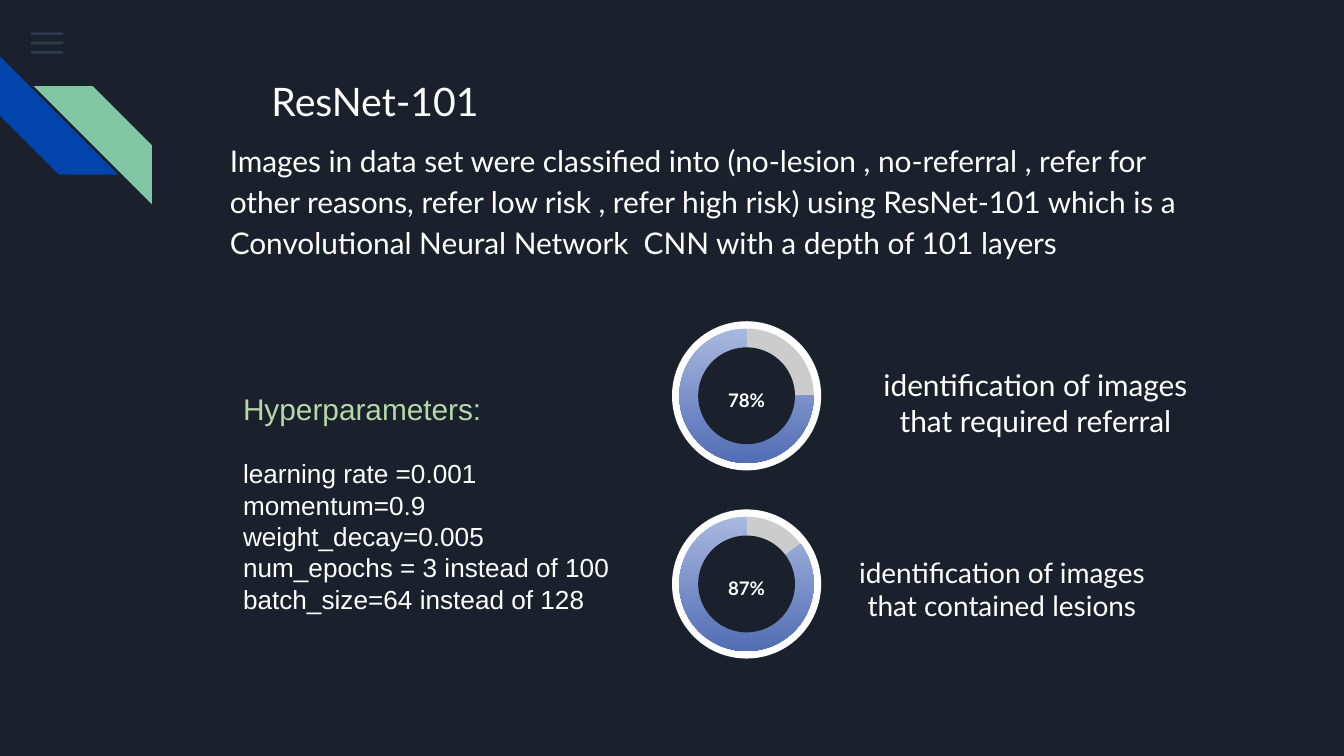
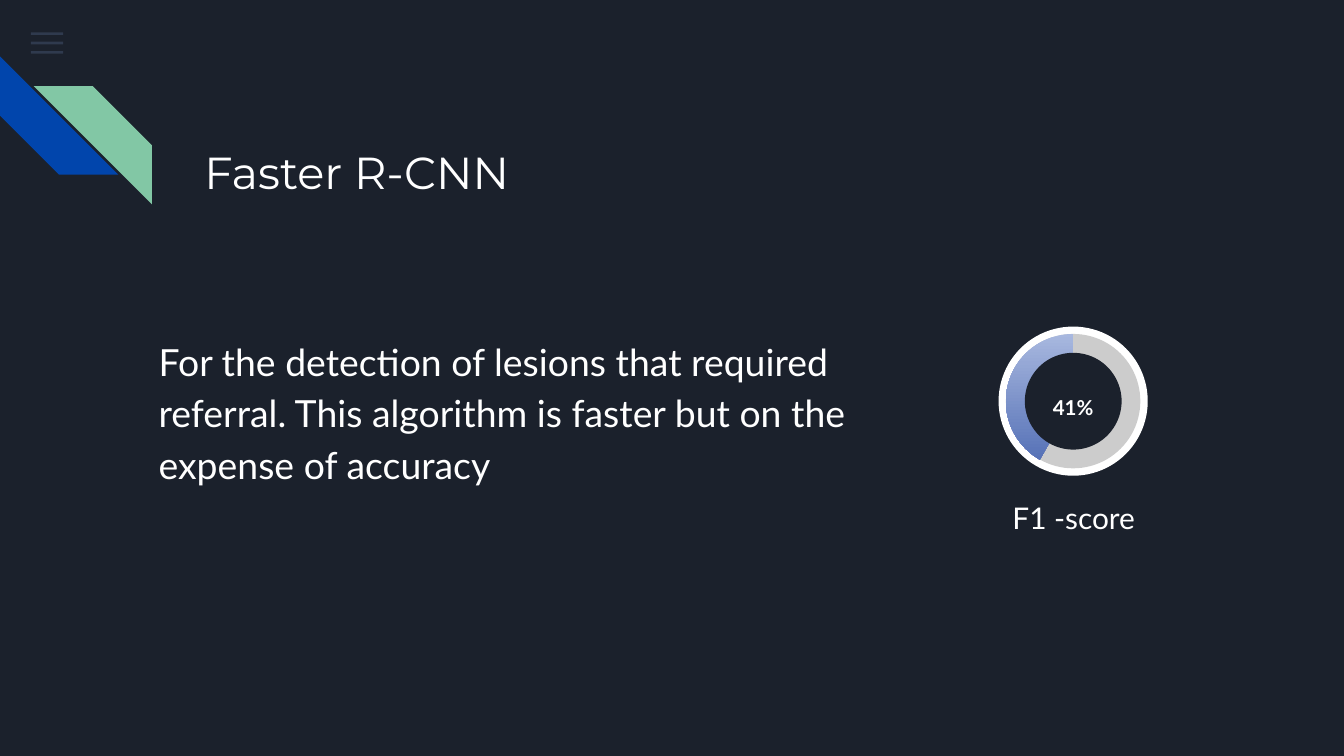
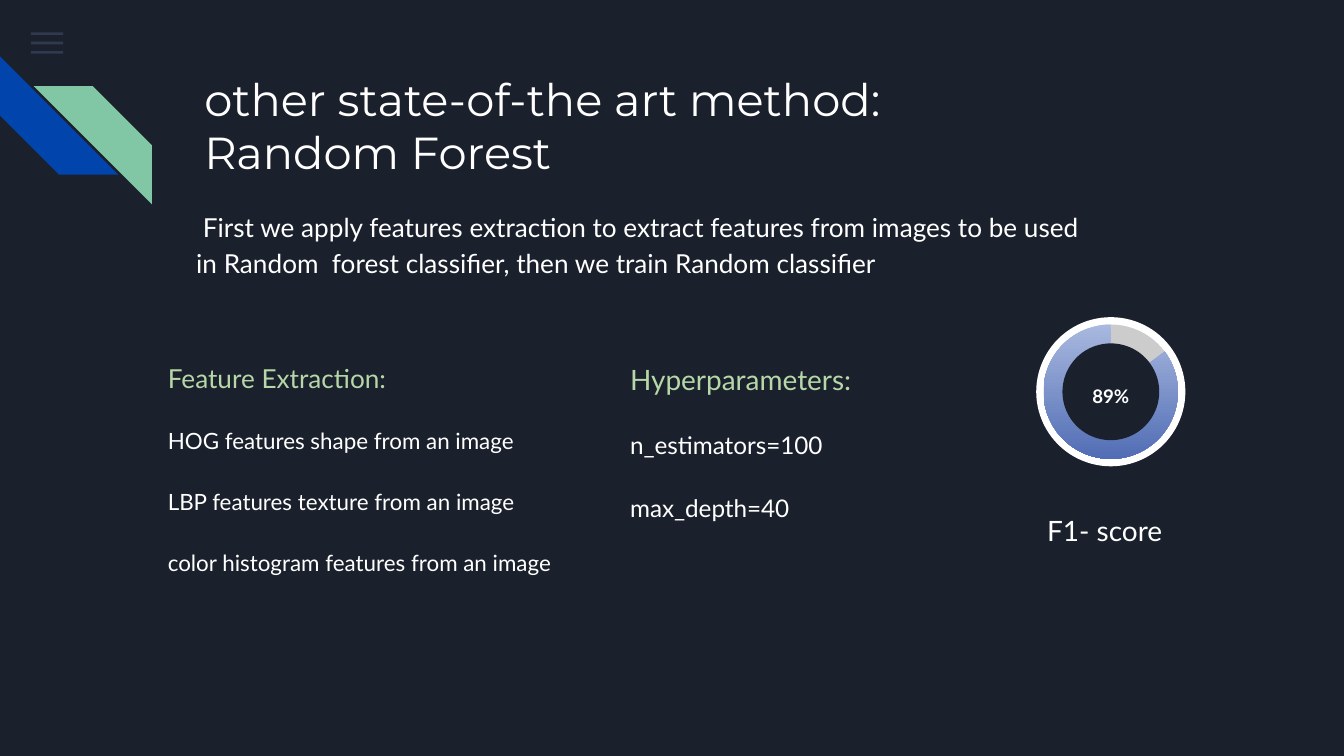
"""Build three slides on lesion classification models and their scores."""
from lxml.etree import SubElement
from pptx import Presentation
from pptx.dml.color import RGBColor
from pptx.enum.shapes import MSO_SHAPE
from pptx.enum.text import MSO_ANCHOR, MSO_AUTO_SIZE, PP_ALIGN
from pptx.oxml.ns import qn
from pptx.util import Inches, Pt

COLORS = {
    "night": "1B212C", "white": "FFFFFF", "track": "CCCCCC",
    "heading": "B6D7A8", "menu": "55688B", "blue": "0145AC",
    "green": "82C7A5", "arc_top": "A8B8DF", "arc_bottom": "516DB4",
}

MENU_TOPS = (0.24, 0.31, 0.38)
STRIPES = [(0, 0.42, 270, "blue"), (0.25, 0.64, 90, "green")]
DIAL = 1.11
ARC_END = 162

SLIDES = [
    {
        "title": dict(box=(1.92, 0.42, 6.13, 0.65), paras=["ResNet-101"],
                      size=21, line=1.15, after=16),
        "body": dict(
            box=(1.61, 0.92, 7.35, 1.41), size=16, line=1.15, after=16,
            paras=["Images in data set were classified into (no-lesion , no-referral , "
                   "refer for other reasons, refer low risk , refer high risk) using "
                   "ResNet-101 which is a Convolutional Neural Network  CNN with a "
                   "depth of 101 layers"]),
        "dials": [
            dict(at=(5, 2.39), start=0, score="78%"),
            dict(at=(5, 3.79), start=194.1, score="87%"),
        ],
        "captions": [
            dict(box=(6.35, 2.63, 2.71, 0.48), size=16,
                 paras=["identification of images that required referral"]),
            dict(box=(6.25, 4.03, 2.41, 0.48), size=15,
                 paras=["identification of images that contained lesions"]),
        ],
        "lists": [
            dict(box=(1.71, 2.81, 3.01, 2.12), size=14, font="Arial", paras=[
                ("Hyperparameters:", dict(size=16, color="heading")),
                ("learning rate =0.001", dict(before=16.5)),
                "momentum=0.9",
                "weight_decay=0.005",
                "num_epochs = 3 instead of 100",
                "batch_size=64 instead of 128",
            ]),
        ],
    },
    {
        "title": dict(box=(1.42, 0.92, 6.13, 0.65), paras=["Faster R-CNN"],
                      size=24, font="Montserrat", line=1.15, after=16),
        "body": dict(
            box=(1.08, 2.37, 6.13, 1.37), size=20, line=1.15, after=16,
            paras=["For the detection of lesions that required referral. This "
                   "algorithm is faster but on the expense of accuracy"]),
        "dials": [dict(at=(7.43, 2.43), start=71.82, score="41%", size=11)],
        "captions": [dict(box=(7.41, 3.62, 1.16, 0.48), size=16, paras=["F1 -score"])],
        "lists": [],
    },
    {
        "title": dict(box=(1.42, 0.43, 7.7, 1), size=24, font="Montserrat",
                      paras=["other state-of-the art method:", "Random Forest"]),
        "body": dict(
            box=(1.36, 1.44, 6.93, 1), size=14, line=1.15, indent=0.05,
            paras=["First we apply features extraction to extract features from "
                   "images to be used in Random  forest classifier, then we train "
                   "Random classifier"]),
        "dials": [dict(at=(7.71, 2.36), start=194.1, score="89%")],
        "captions": [dict(box=(7.32, 3.72, 1.8, 0.48), size=15, paras=["F1- score"])],
        "lists": [
            dict(box=(4.59, 2.56, 2.03, 1.41), size=13, line=1.15, before=16, paras=[
                ("Hyperparameters:", dict(size=15, color="heading", before=0)),
                "n_estimators=100",
                "max_depth=40",
            ]),
            dict(box=(1.15, 2.56, 3.28, 1.81), size=12, line=1.15, before=16, paras=[
                ("Feature Extraction:", dict(size=14, color="heading", before=0)),
                "HOG features shape from an image",
                "LBP features texture from an image",
                "color histogram features from an image",
            ]),
        ],
    },
]


def rgb(name):
    return RGBColor.from_string(COLORS[name])


def add_paragraph(p, text, size=14, font="Lato", color="white", bold=False,
                  align=PP_ALIGN.LEFT, line=1.0, before=0, after=0, indent=0):
    pPr = p._p.get_or_add_pPr()
    pPr.set("marL", "0")
    pPr.set("indent", str(Inches(indent)))
    SubElement(pPr, qn("a:buNone"))
    p.alignment, p.line_spacing = align, line
    p.space_before, p.space_after = Pt(before), Pt(after)
    r = p.add_run()
    r.text = text
    r.font.size, r.font.name, r.font.bold = Pt(size), font, bold
    r.font.color.rgb = rgb(color)


def write(sp, box, paras, **fmt):
    sp.left, sp.top, sp.width, sp.height = map(Inches, box)
    tf = sp.text_frame
    tf.word_wrap, tf.auto_size = True, MSO_AUTO_SIZE.NONE
    tf.vertical_anchor = MSO_ANCHOR.TOP
    tf.margin_left = tf.margin_right = tf.margin_top = tf.margin_bottom = Inches(0.1)
    for i, para in enumerate(paras):
        text, own = (para, {}) if isinstance(para, str) else para
        p = tf.add_paragraph() if i else tf.paragraphs[0]
        add_paragraph(p, text, **{**fmt, **own})


def add_text(s, box, paras, **fmt):
    write(s.shapes.add_textbox(*map(Inches, box)), box, paras, **fmt)


def add_shape(s, kind, box, color=None):
    sp = s.shapes.add_shape(kind, *map(Inches, box))
    sp.shadow.inherit = False
    sp.line.fill.background()
    if color:
        sp.fill.solid()
        sp.fill.fore_color.rgb = rgb(color)
    return sp


def add_dial(s, at, start, score, size=10):
    def centred(width, height):
        return (at[0] + (DIAL - width) / 2, at[1] + (DIAL - height) / 2, width, height)

    add_shape(s, MSO_SHAPE.OVAL, centred(DIAL, DIAL), "white")
    add_shape(s, MSO_SHAPE.OVAL, centred(1, 1), "track")
    arc = add_shape(s, MSO_SHAPE.PIE, centred(1, 1))
    arc.adjustments[0], arc.adjustments[1] = start, ARC_END
    arc.fill.gradient()
    arc.fill.gradient_angle = 270
    for stop, color in zip(arc.fill.gradient_stops, ("arc_top", "arc_bottom")):
        stop.color.rgb = rgb(color)
    add_shape(s, MSO_SHAPE.OVAL, centred(0.72, 0.72), "night")
    add_text(s, (at[0] + 0.3, at[1] + 0.38, 0.51, 0.3), [score], size=size,
             bold=True, align=PP_ALIGN.CENTER, line=1.15)


def decorate(layout, s):
    layout.background.fill.solid()
    layout.background.fill.fore_color.rgb = rgb("night")
    parts = []
    for top in MENU_TOPS:
        bar = add_shape(s, MSO_SHAPE.RECTANGLE, (0.23, top, 0.24, 0.02), "menu")
        clr = bar.element.spPr.find(".//" + qn("a:srgbClr"))
        SubElement(clr, qn("a:alpha")).set("val", "36000")
        parts.append(bar)
    for left, top, turn, color in STRIPES:
        stripe = add_shape(s, MSO_SHAPE.DIAGONAL_STRIPE, (left, top, 0.88, 0.88), color)
        stripe.rotation = turn
        parts.append(stripe)
    for sp in parts:
        layout.shapes.element.append(sp.element)


def main():
    prs = Presentation()
    prs.slide_width = Inches(10)
    prs.slide_height = prs.slide_width * 9 // 16
    layout = prs.slide_layouts[1]
    for i, content in enumerate(SLIDES):
        s = prs.slides.add_slide(layout)
        if i == 0:
            decorate(layout, s)
        write(s.shapes.title, **content["title"])
        write(s.placeholders[1], **content["body"])
        for dial in content["dials"]:
            add_dial(s, **dial)
        for caption in content["captions"]:
            add_text(s, align=PP_ALIGN.CENTER, after=16, **caption)
        for block in content["lists"]:
            add_text(s, **block)
    prs.save("out.pptx")


if __name__ == "__main__":
    main()
